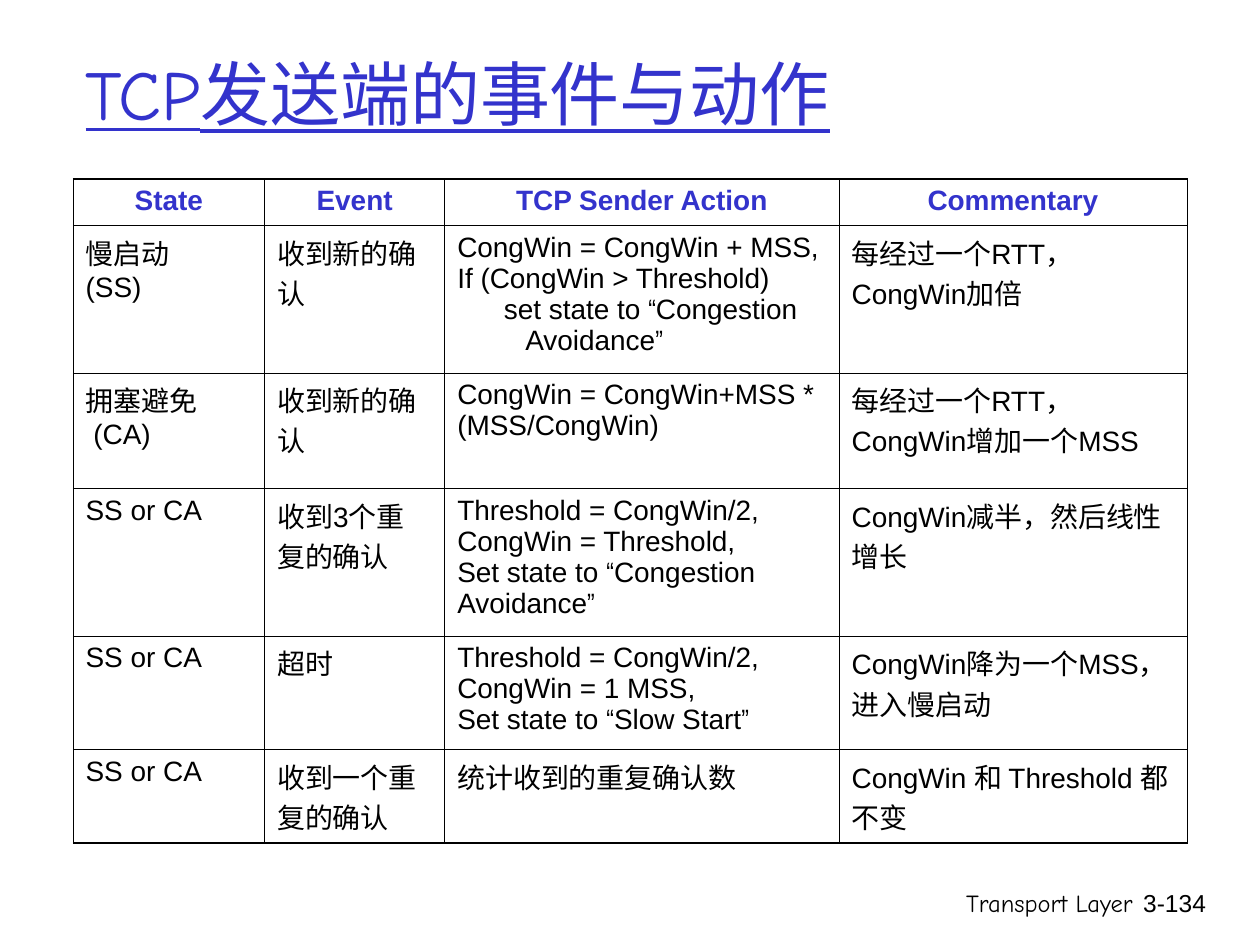
from itertools import groupby

from lxml import etree
from pptx import Presentation
from pptx.dml.color import RGBColor
from pptx.enum.text import MSO_ANCHOR, PP_ALIGN
from pptx.oxml.ns import qn
from pptx.util import Inches, Pt

LEFT, CENTER, RIGHT = PP_ALIGN.LEFT, PP_ALIGN.CENTER, PP_ALIGN.RIGHT
MIDDLE = MSO_ANCHOR.MIDDLE
TITLE_ONLY = 5
COLUMNS = [1.52, 1.43, 3.13, 2.76]
ROW_HEIGHTS = [0.37, 1.17, 0.92, 1.17, 0.9, 0.74]
INDENTED = "set state to “Congestion Avoidance”"
ROWS = [
    ["State", "Event", "TCP Sender Action", "Commentary"],
    ["慢启动\n(SS)", "收到新的确认",
     "CongWin = CongWin + MSS,\nIf (CongWin > Threshold)\n" + INDENTED,
     "每经过一个RTT，CongWin加倍"],
    ["拥塞避免\n (CA)", "收到新的确认",
     "CongWin = CongWin+MSS * (MSS/CongWin)",
     "每经过一个RTT，CongWin增加一个MSS"],
    ["SS or CA", "收到3个重复的确认",
     "Threshold = CongWin/2,\nCongWin = Threshold,\n"
     "Set state to “Congestion Avoidance”",
     "CongWin减半，然后线性增长"],
    ["SS or CA", "超时",
     "Threshold = CongWin/2,\nCongWin = 1 MSS,\nSet state to “Slow Start”",
     "CongWin降为一个MSS，进入慢启动"],
    ["SS or CA", "收到一个重复的确认", "统计收到的重复确认数",
     "CongWin 和 Threshold 都不变"],
]


def rgb(value):
    return RGBColor.from_string(value)


class SlideBuilder:
    """Holds the style and the current slide."""

    BLUE, BLACK = "3333CC", "000000"
    HAND, SANS, NARROW = "Comic Neue", "Arial", "Arial Narrow"

    def __init__(self, prs):
        self.s = prs.slides.add_slide(prs.slide_layouts[TITLE_ONLY])

    def format(self, p, font, size, color, align=LEFT, bold=False):
        p.alignment = align
        for r in p.runs:
            r.font.name = font
            r.font.size = Pt(size)
            r.font.color.rgb = rgb(color)
            r.font.bold = bold

    def title(self, text, left, top, width, height):
        sp = self.s.shapes.title
        sp.left, sp.top = Inches(left), Inches(top)
        sp.width, sp.height = Inches(width), Inches(height)
        tf = sp.text_frame
        tf.text = text
        tf.vertical_anchor = MIDDLE
        self.format(tf.paragraphs[0], self.HAND, 40, self.BLUE)
        tf.paragraphs[0].runs[0].font.underline = True

    def footer(self, text, font, left, width):
        sp = self.s.shapes.add_textbox(
            Inches(left), Inches(7), Inches(width), Inches(0.5))
        tf = sp.text_frame
        tf.word_wrap = True
        tf.text = text
        self.format(tf.paragraphs[0], font, 14, self.BLACK, RIGHT)

    def border(self, cell, side, width):
        tcPr = cell._tc.get_or_add_tcPr()
        ln = etree.SubElement(tcPr, qn("a:" + side), w=str(Pt(width)))
        fill = etree.SubElement(ln, qn("a:solidFill"))
        etree.SubElement(fill, qn("a:srgbClr"), val=self.BLACK)

    def cell(self, cell, text, header):
        tf = cell.text_frame
        tf.text = text
        for p in tf.paragraphs:
            line = p.text
            p.text = ""
            for quoted, chars in groupby(line, key=lambda c: c in "“”"):
                r = p.add_run()
                r.text = "".join(chars)
            if header:
                self.format(p, self.SANS, 16, self.BLUE, CENTER, True)
            else:
                self.format(p, self.SANS, 16, self.BLACK)
            for r in p.runs:
                if r.text in "“”":
                    r.font.name = self.NARROW
            if line == INDENTED:
                pPr = p._p.get_or_add_pPr()
                pPr.set("marL", str(Inches(0.54)))
                pPr.set("indent", str(Inches(-0.17)))

    def table(self, rows, left, top):
        table = self.s.shapes.add_table(
            len(rows), len(COLUMNS), Inches(left), Inches(top),
            Inches(sum(COLUMNS)), Inches(sum(ROW_HEIGHTS))).table
        table.first_row = table.horz_banding = False
        for column, width in zip(table.columns, COLUMNS):
            column.width = Inches(width)
        last = len(rows) - 1
        for i, texts in enumerate(rows):
            table.rows[i].height = Inches(ROW_HEIGHTS[i])
            for j, text in enumerate(texts):
                cell = table.cell(i, j)
                self.cell(cell, text, header=i == 0)
                self.border(cell, "lnL", 0.34)
                self.border(cell, "lnR", 0.34)
                self.border(cell, "lnT", 0.96 if i == 0 else 0.45)
                self.border(cell, "lnB", 0.96 if i == last else 0.45)
                cell.fill.background()


def main():
    prs = Presentation()
    prs.slide_width, prs.slide_height = Inches(10), Inches(7.5)
    slide = SlideBuilder(prs)
    slide.footer("Transport Layer", slide.HAND, 5.92, 3.17)
    slide.footer("3-134", slide.SANS, 8.93, 0.74)
    slide.title("TCP发送端的事件与动作", 0.58, 0.22, 8.5, 1.03)
    slide.table(ROWS, 0.58, 1.42)
    prs.save("out.pptx")


if __name__ == "__main__":
    main()
